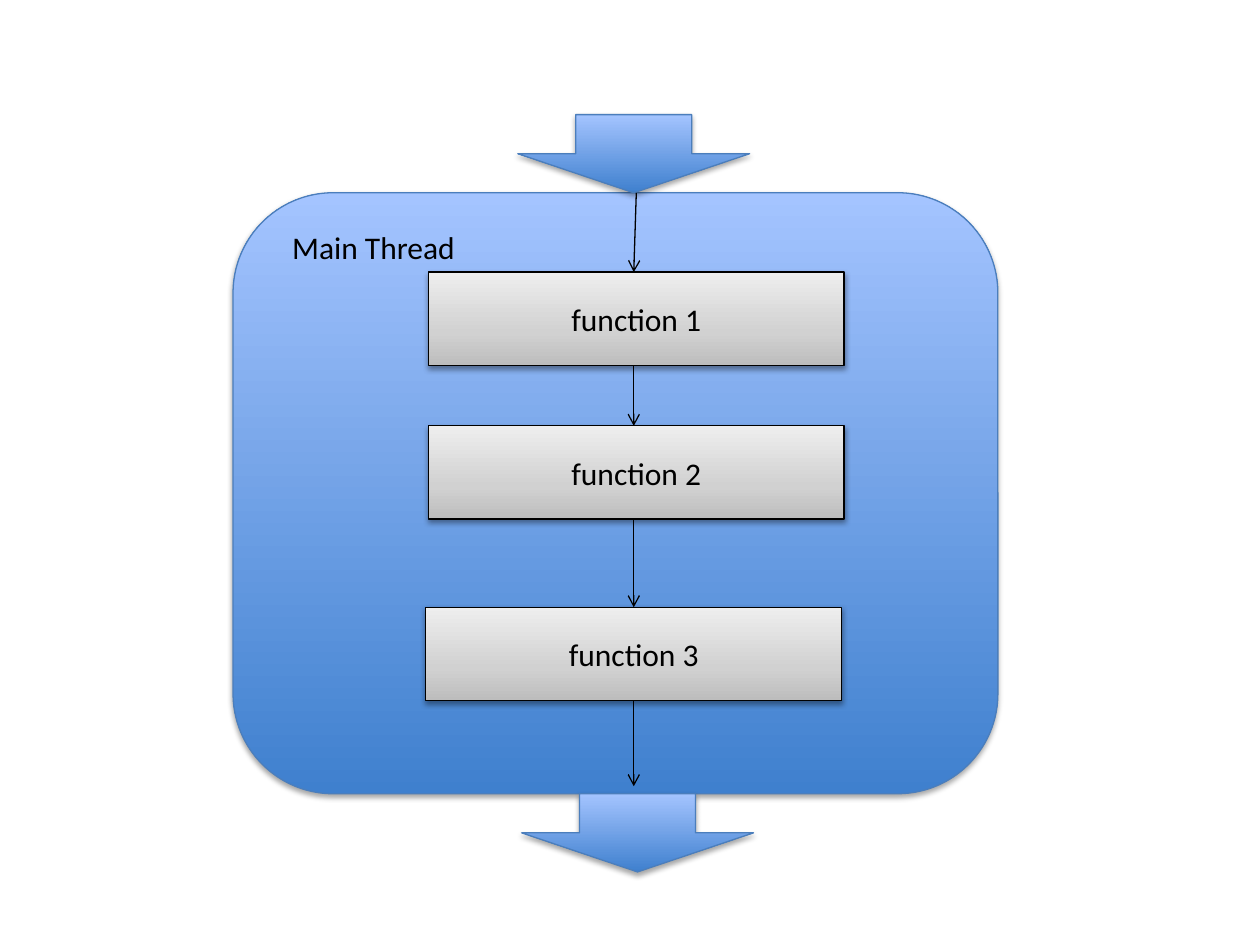
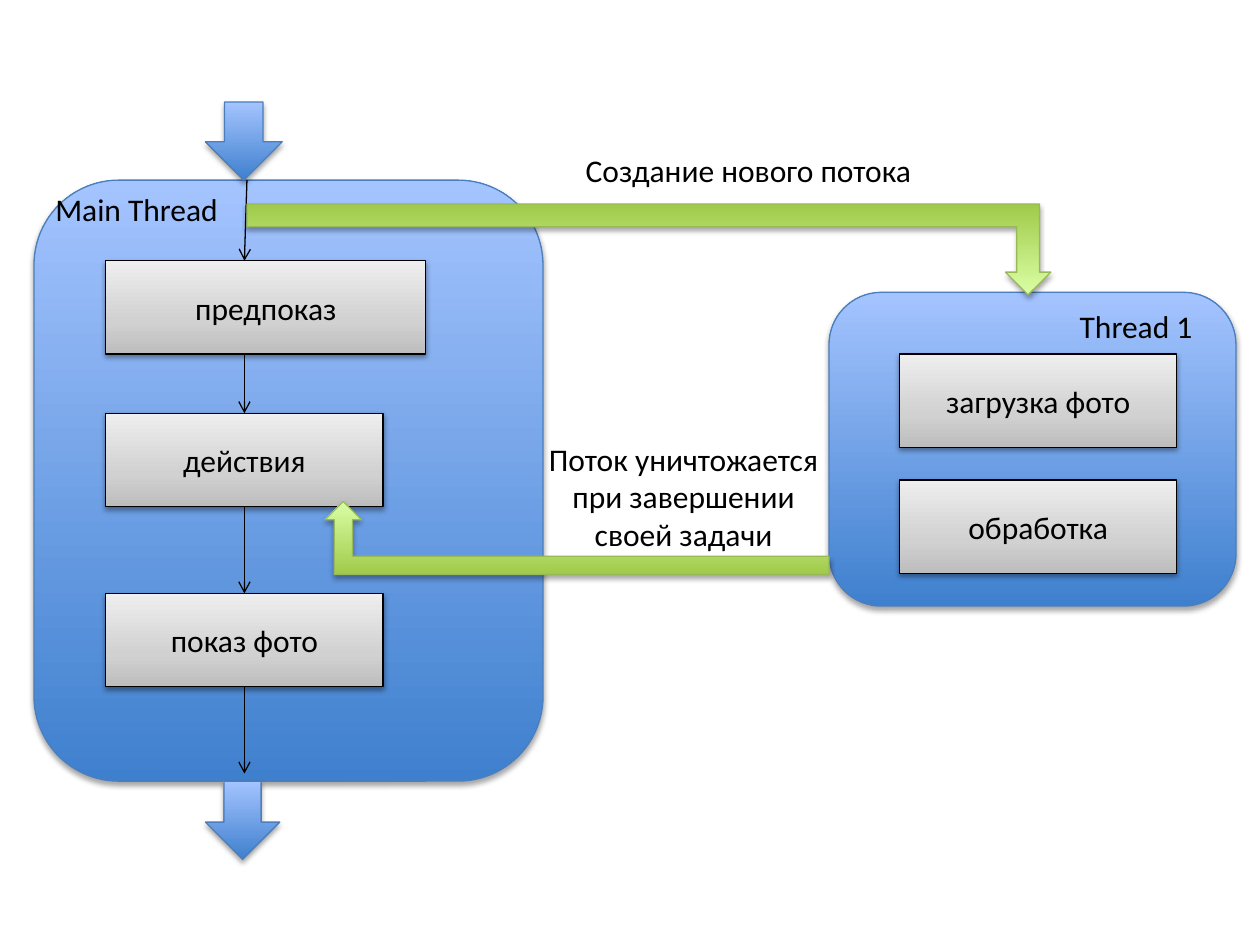
from dataclasses import dataclass
from math import isclose

from lxml import etree
from pptx import Presentation
from pptx.dml.color import RGBColor
from pptx.enum import shapes, text
from pptx.oxml.ns import qn
from pptx.util import Inches, Pt

# Grid: 100 columns by 75 rows on a 10 x 7.5 inch slide
CELL = Inches(0.1)
COLS, ROWS = 100, 75
BOX_H, ARROW_H, LABEL_H = 7.4, 6.2, 4
FONT, SIZE = "Calibri", Pt(18)
COLOURS = {
    "ink": "000000",
    "blue_dark": "3F80CE", "blue_light": "A4C4FF", "blue_line": "4B7EBC",
    "green_dark": "A0CA4A", "green_light": "DAFFA5", "green_line": "98B955",
    "grey_dark": "BDBDBD", "grey_mid": "D1D1D1", "grey_light": "EEEEEE",
}
KIND = shapes.MSO_SHAPE


@dataclass(frozen=True)
class Style:
    stops: tuple  # (percent from the bottom, colour)
    line: str
    shadow_alpha: int = 35
    shadow_dist: float = 1.8


BLUE = Style(((0, "blue_dark"), (100, "blue_light")), "blue_line")
GREEN = Style(((0, "green_dark"), (100, "green_light")), "green_line")
GREY = Style(((0, "grey_dark"), (35, "grey_mid"), (100, "grey_light")), "ink", 38, 1.6)


@dataclass(frozen=True)
class Area:
    x: float
    y: float
    w: float
    h: float

    @property
    def bottom(self) -> float:
        return self.y + self.h


@dataclass(frozen=True)
class Step:
    label: str
    x: float
    y: float
    w: float


@dataclass(frozen=True)
class Label:
    lines: tuple
    area: Area
    wrap: bool = False
    centred: bool = False


@dataclass(frozen=True)
class MainThread:
    panel: Area
    label: Label
    entry: tuple  # left and width of the arrow coming in
    leave: tuple  # left and width of the arrow going out
    steps: tuple
    axis: float
    end: float


def cells(*values: float) -> list:
    return [round(v * CELL) for v in values]


def rgb(name: str) -> RGBColor:
    return RGBColor.from_string(COLOURS[name])


def add_colour(parent, name: str):
    return etree.SubElement(parent, qn("a:srgbClr"), val=COLOURS[name])


def add_run(p, words: str) -> None:
    r = p.add_run()
    r.text = words
    r.font.name, r.font.size = FONT, SIZE
    r.font.color.rgb = rgb("ink")


def add_block(slide, kind, area: Area, style: Style, flip: str = ""):
    """Preset shape with a vertical gradient and a soft shadow below."""
    sp = slide.shapes.add_shape(kind, *cells(area.x, area.y, area.w, area.h))
    sp.fill.gradient()
    sp.fill.gradient_angle = 90
    props = sp._element.spPr
    stops = props.find(qn("a:gradFill")).find(qn("a:gsLst"))
    stops.clear()
    for percent, name in style.stops:
        add_colour(etree.SubElement(stops, qn("a:gs"), pos=str(percent * 1000)), name)
    sp.line.color.rgb, sp.line.width = rgb(style.line), Pt(0.75)
    sp.shadow.inherit = False
    shadow = etree.SubElement(
        props.find(qn("a:effectLst")), qn("a:outerShdw"), blurRad=str(Pt(3.1)),
        dist=str(Pt(style.shadow_dist)), dir="5400000", rotWithShape="0")
    alpha = style.shadow_alpha * 1000
    etree.SubElement(add_colour(shadow, "ink"), qn("a:alpha"), val=str(alpha))
    if flip:
        props.find(qn("a:xfrm")).set(flip, "1")
    return sp


def add_step(slide, step: Step):
    sp = add_block(slide, KIND.RECTANGLE, Area(step.x, step.y, step.w, BOX_H), GREY)
    tf = sp.text_frame
    tf.vertical_anchor = text.MSO_ANCHOR.MIDDLE
    p = tf.paragraphs[0]
    p.alignment = text.PP_ALIGN.CENTER
    add_run(p, step.label)
    return sp


def add_label(slide, label: Label) -> None:
    a = label.area
    tf = slide.shapes.add_textbox(*cells(a.x, a.y, a.w, a.h)).text_frame
    tf.word_wrap = label.wrap
    tf.auto_size = text.MSO_AUTO_SIZE.SHAPE_TO_FIT_TEXT
    for i, line in enumerate(label.lines):
        p = tf.add_paragraph() if i else tf.paragraphs[0]
        if label.centred:
            p.alignment = text.PP_ALIGN.CENTER
        add_run(p, line)


def add_link(slide, x1: float, y1: float, x2: float, y2: float):
    link = slide.shapes.add_connector(
        shapes.MSO_CONNECTOR.STRAIGHT, *cells(x1, y1, x2, y2))
    link.line.color.rgb, link.line.width = rgb("ink"), Pt(0.75)
    etree.SubElement(link.line._get_or_add_ln(), qn("a:tailEnd"), type="arrow")
    etree.SubElement(link._element.spPr, qn("a:effectLst"))
    return link


def add_main_thread(slide, thread: MainThread) -> None:
    panel = thread.panel
    add_block(slide, KIND.ROUNDED_RECTANGLE, panel, BLUE)
    add_label(slide, thread.label)
    for (x, w), y in ((thread.entry, panel.y - ARROW_H), (thread.leave, panel.bottom)):
        add_block(slide, KIND.DOWN_ARROW, Area(x, y, w, ARROW_H), BLUE)
    boxes = [add_step(slide, step) for step in thread.steps]

    # Flow down the axis, joined to the boxes that are centred on it
    starts = [panel.y] + [step.y + BOX_H for step in thread.steps]
    ends = [step.y for step in thread.steps] + [thread.end]
    links = [add_link(slide, thread.axis + (0 if i else 0.2), y1, thread.axis, y2)
             for i, (y1, y2) in enumerate(zip(starts, ends))]
    for step, box, above, below in zip(thread.steps, boxes, links, links[1:]):
        if isclose(step.x + step.w / 2, thread.axis, abs_tol=0.05):
            above.end_connect(box, 0)
            below.begin_connect(box, 2)


def sequential_slide(slide) -> None:
    add_main_thread(slide, MainThread(
        panel=Area(18.5, 15.3, 60.7, 47.7),
        label=Label(("Main Thread",), Area(22.2, 17.6, 15.1, LABEL_H)),
        entry=(41.1, 18.4), leave=(41.4, 18.4),
        steps=(Step("function 1", 34, 21.6, 33),
               Step("function 2", 34, 33.8, 33),
               Step("function 3", 33.8, 48.2, 33)),
        axis=50.3, end=62.4))


def parallel_slide(slide) -> None:
    add_main_thread(slide, MainThread(
        panel=Area(2.7, 14.3, 40.4, 47.7),
        label=Label(("Main Thread",), Area(3.4, 14.6, 16.2, LABEL_H), wrap=True),
        entry=(16.3, 6.1), leave=(16.3, 5.9),
        steps=(Step("предпоказ", 8.4, 20.7, 25.4),
               Step("действия", 8.4, 32.8, 22),
               Step("показ фото", 8.4, 47.1, 22)),
        axis=19.4, end=61.4))

    # Second thread
    add_block(slide, KIND.ROUNDED_RECTANGLE, Area(65.8, 23.2, 32.3, 24.9), BLUE)
    for i, words in enumerate(("загрузка фото", "обработка")):
        add_step(slide, Step(words, 71.4, 28.1 + 10 * i, 22))
    add_label(slide, Label(("Thread 1",), Area(84.7, 23.9, 11.1, LABEL_H)))

    # Start and end of the second thread
    add_block(slide, KIND.BENT_UP_ARROW, Area(19.6, 16.2, 63.8, 7.2), GREEN, "flipV")
    add_label(slide, Label(("Создание нового потока",),
                           Area(45.5, 11.5, 28.3, LABEL_H)))
    add_block(slide, KIND.BENT_UP_ARROW, Area(25.8, 39.8, 40, 5.8), GREEN, "flipH")
    add_label(slide, Label(("Поток уничтожается", "при завершении своей задачи"),
                           Area(41.8, 34.4, 24.9, 10.1), wrap=True, centred=True))


def main() -> None:
    prs = Presentation()
    prs.slide_width, prs.slide_height = cells(COLS, ROWS)
    for draw in (sequential_slide, parallel_slide):
        draw(prs.slides.add_slide(prs.slide_layouts[6]))
    prs.save("out.pptx")


if __name__ == "__main__":
    main()
